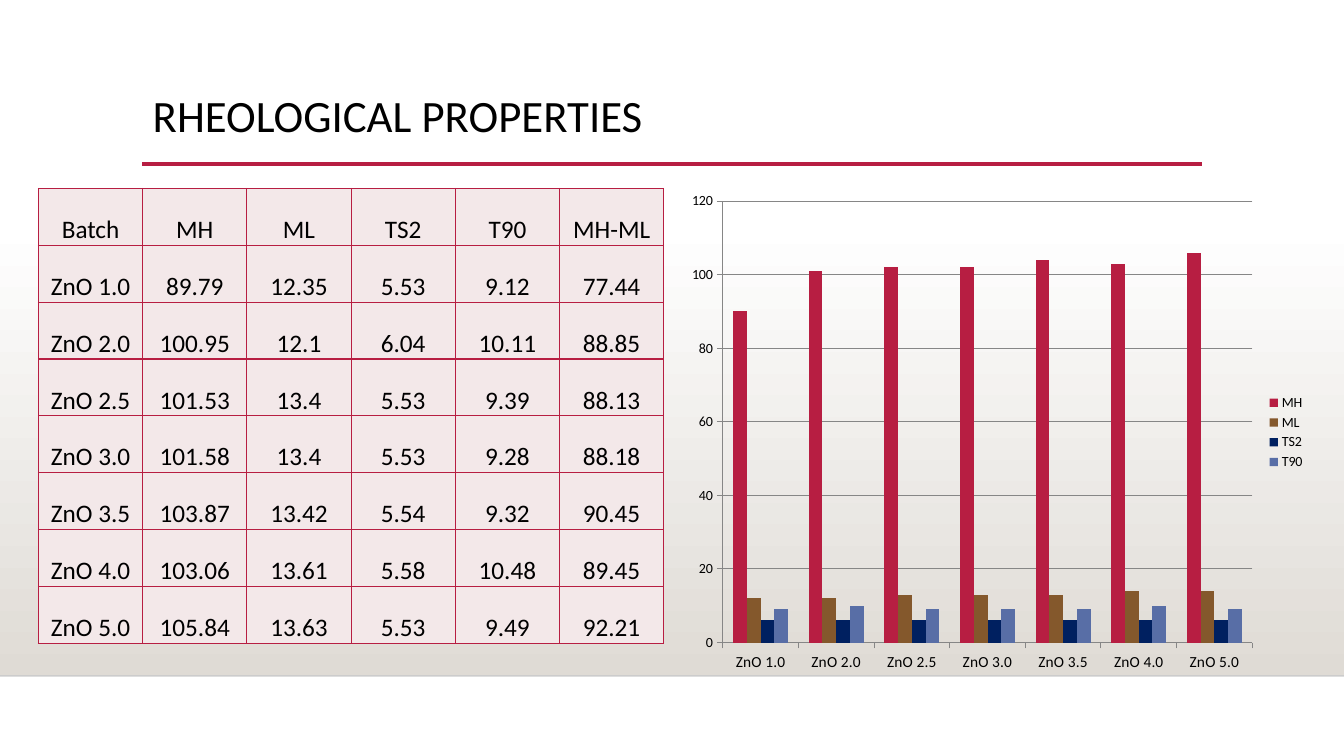
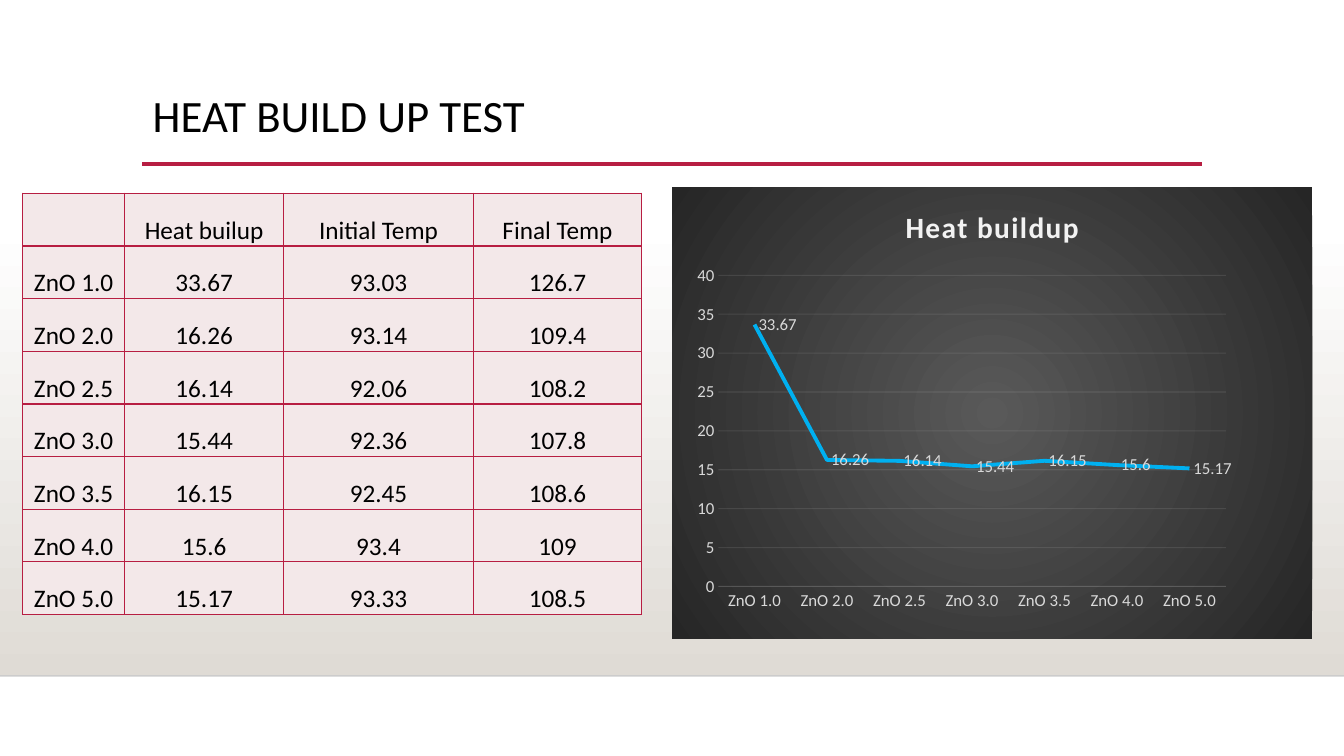
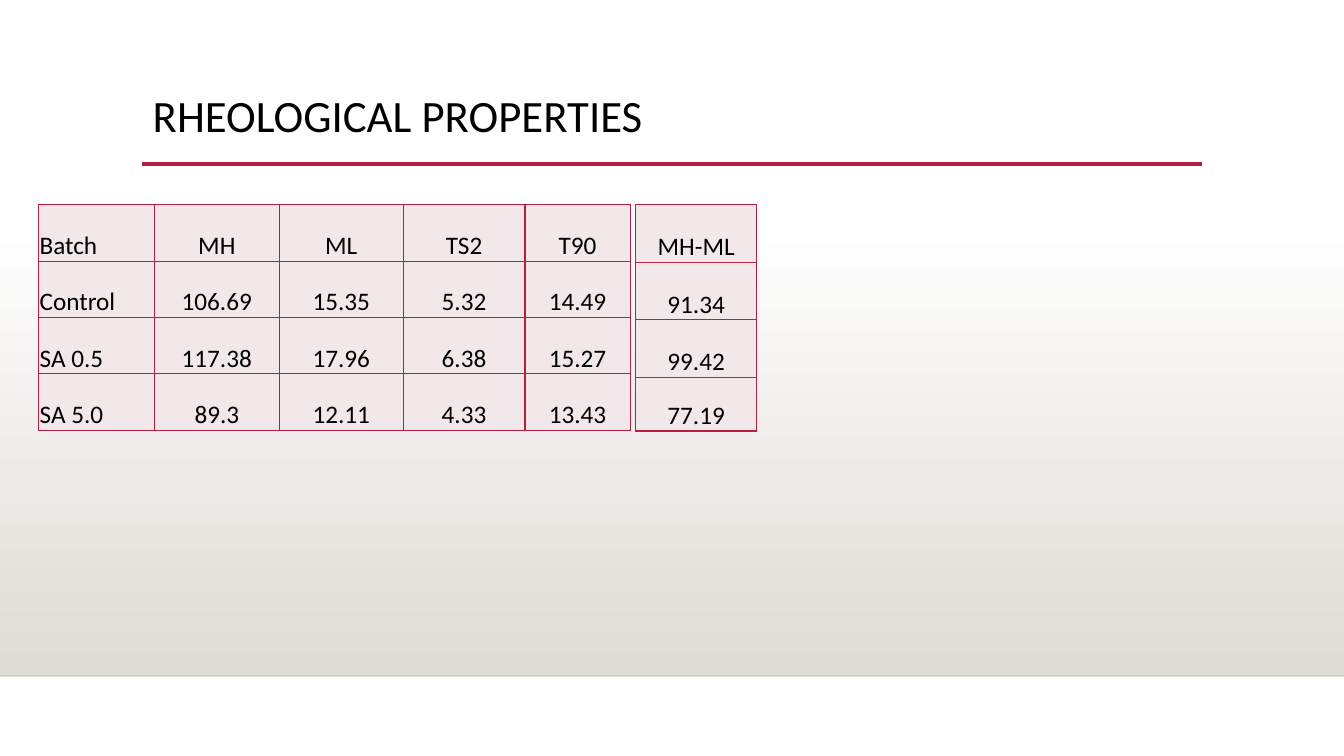
"""Three slides of rubber test results: tables, a column chart and a line chart."""
from dataclasses import dataclass

from lxml import etree
from pptx import Presentation
from pptx import util as u
from pptx.chart import data as cd
from pptx.dml.color import RGBColor
from pptx.enum import chart as ch, shapes, text
from pptx.oxml import parse_xml
from pptx.oxml.ns import nsdecls, qn


@dataclass(frozen=True)
class Theme:
    font: str = "Calibri"
    ink: str = "000000"
    edge: str = "000001"
    red: str = "B71E42"
    cell: str = "F3E8E9"
    white: str = "FFFFFF"
    sand: str = "DFDBD5"
    grid: str = "868686"
    pale: str = "F2F2F2"
    mist: str = "D9D9D9"
    blue: str = "00B0F0"
    core: str = "595959"
    rim: str = "262626"
    bars: tuple = ("B71E42", "84582C", "002060", "586EA6")
    title: int = 32
    head: int = 21
    body: int = 18
    label: int = 12
    axis: int = 11
    small: int = 10


T = Theme()

ZINC = [
    ("Batch", "MH", "ML", "TS2", "T90", "MH-ML"),
    ("ZnO 1.0", "89.79", "12.35", "5.53", "9.12", "77.44"),
    ("ZnO 2.0", "100.95", "12.1", "6.04", "10.11", "88.85"),
    ("ZnO 2.5", "101.53", "13.4", "5.53", "9.39", "88.13"),
    ("ZnO 3.0", "101.58", "13.4", "5.53", "9.28", "88.18"),
    ("ZnO 3.5", "103.87", "13.42", "5.54", "9.32", "90.45"),
    ("ZnO 4.0", "103.06", "13.61", "5.58", "10.48", "89.45"),
    ("ZnO 5.0", "105.84", "13.63", "5.53", "9.49", "92.21"),
]
HEAT = [
    ("", "Heat builup", "Initial Temp", "Final Temp"),
    ("ZnO 1.0", "33.67", "93.03", "126.7"),
    ("ZnO 2.0", "16.26", "93.14", "109.4"),
    ("ZnO 2.5", "16.14", "92.06", "108.2"),
    ("ZnO 3.0", "15.44", "92.36", "107.8"),
    ("ZnO 3.5", "16.15", "92.45", "108.6"),
    ("ZnO 4.0", "15.6", "93.4", "109"),
    ("ZnO 5.0", "15.17", "93.33", "108.5"),
]
ACID = [
    ("Batch", "MH", "ML", "TS2", "T90"),
    ("Control", "106.69", "15.35", "5.32", "14.49"),
    ("SA 0.5", "117.38", "17.96", "6.38", "15.27"),
    ("SA 5.0", "89.3", "12.11", "4.33", "13.43"),
]
SPAN = [("MH-ML",), ("91.34",), ("99.42",), ("77.19",)]


def rgb(hue):
    return RGBColor.from_string(hue)


def style(font, size, hue=T.ink, bold=False):
    font.name, font.size, font.bold = T.font, u.Pt(size), bold
    font.color.rgb = rgb(hue)


def stroke(line, hue, width):
    line.color.rgb = rgb(hue)
    line.width = u.Pt(width)


def fade(nodes, share):
    for node in nodes:
        etree.SubElement(node, qn("a:alpha")).set("val", str(share * 1000))


def add_run(para, words, size):
    run = para.add_run()
    run.text = words
    style(run.font, size)


def add_rule(slide, left, right, top, hue, width):
    rule = slide.shapes.add_connector(
        shapes.MSO_CONNECTOR.STRAIGHT, u.Cm(left), u.Cm(top), u.Cm(right), u.Cm(top))
    stroke(rule.line, hue, width)
    etree.SubElement(rule.element.spPr, qn("a:effectLst"))
    return rule


def add_slide(deck, title):
    slide = deck.slides.add_slide(deck.slide_layouts[6])
    band = slide.shapes.add_shape(
        shapes.MSO_SHAPE.RECTANGLE, 0, u.Cm(5.61), deck.slide_width, u.Cm(11.41))
    band.shadow.inherit = False
    band.line.fill.background()
    band.fill.gradient()
    band.fill.gradient_angle = 270
    for stop, hue in zip(band.fill.gradient_stops, (T.white, T.sand)):
        stop.color.rgb = rgb(hue)
    floor = add_rule(slide, 0, 33.87, 17.03, T.edge, 1)
    fade(floor.element.xpath(".//a:ln//a:srgbClr"), 20)
    add_rule(slide, 3.58, 30.28, 4.13, T.red, 2.5)
    frame = slide.shapes.add_textbox(
        u.Cm(3.6), u.Cm(2.24), u.Cm(26.67), u.Cm(2.92)).text_frame
    frame.word_wrap = True
    para = frame.paragraphs[0]
    para.line_spacing = 0.9
    add_run(para, title, T.title)
    return slide


def add_border(cell):
    props = cell._tc.get_or_add_tcPr()
    for spot, side in enumerate("LRTB"):
        props.insert(spot, parse_xml(
            f'<a:ln{side} {nsdecls("a")} w="12700"><a:solidFill>'
            f'<a:srgbClr val="{T.red}"/></a:solidFill></a:ln{side}>'))


def add_table(slide, left, top, rows, widths, heights, lead=text.PP_ALIGN.CENTER):
    table = slide.shapes.add_table(
        len(rows), len(widths), u.Cm(left), u.Cm(top),
        u.Cm(sum(widths)), u.Cm(sum(heights))).table
    table.first_row = table.horz_banding = False
    for col, width in zip(table.columns, widths):
        col.width = u.Cm(width)
    for row, height, items in zip(table.rows, heights, rows):
        row.height = u.Cm(height)
        for spot, (cell, words) in enumerate(zip(row.cells, items)):
            cell.fill.solid()
            cell.fill.fore_color.rgb = rgb(T.cell)
            add_border(cell)
            cell.vertical_anchor = text.MSO_ANCHOR.BOTTOM
            cell.margin_left = cell.margin_right = cell.margin_top = u.Cm(0.03)
            cell.margin_bottom = 0
            para = cell.text_frame.paragraphs[0]
            para.alignment = text.PP_ALIGN.CENTER if spot else lead
            if words:
                add_run(para, words, T.body)


def add_chart(slide, kind, box, rows, names, places, fill):
    data = cd.CategoryChartData()
    data.categories = [row[0] for row in rows[1:]]
    for spot, name in enumerate(names, 1):
        data.add_series(name, [round(float(row[spot]), places) for row in rows[1:]])
    chart = slide.shapes.add_chart(kind, *map(u.Cm, box), data).chart
    style(chart.font, T.small)
    chart.has_title = chart.has_legend = False
    chart.plots[0].vary_by_categories = False
    chart.element.find(qn("c:chart")).addnext(parse_xml(
        f'<c:spPr {nsdecls("c", "a")}>{fill}<a:ln><a:noFill/></a:ln></c:spPr>'))
    return chart


def set_axes(chart, top, step, tick, hue, sizes):
    value, group = chart.value_axis, chart.category_axis
    value.minimum_scale, value.maximum_scale, value.major_unit = 0, top, step
    value.has_major_gridlines = True
    stroke(value.major_gridlines.format.line, hue, 0.75)
    stroke(group.format.line, hue, 0.75)
    for axis, size in zip((value, group), sizes):
        axis.major_tick_mark = tick
        axis.minor_tick_mark = ch.XL_TICK_MARK.NONE
        axis.tick_labels.font.size = u.Pt(size)


def add_bars(slide):
    chart = add_chart(slide, ch.XL_CHART_TYPE.COLUMN_CLUSTERED,
                      (17.12, 4.62, 16.03, 12.55), ZINC, ZINC[0][1:5], 0, "<a:noFill/>")
    set_axes(chart, 120, 20, ch.XL_TICK_MARK.OUTSIDE, T.grid, (T.small, T.axis))
    stroke(chart.value_axis.format.line, T.grid, 0.75)
    chart.has_legend = True
    chart.legend.position = ch.XL_LEGEND_POSITION.RIGHT
    chart.legend.include_in_layout = False
    style(chart.legend.font, T.small)
    plot = chart.plots[0]
    plot.gap_width, plot.overlap = 150, 0
    for series, hue in zip(plot.series, T.bars):
        series.format.fill.solid()
        series.format.fill.fore_color.rgb = rgb(hue)


def add_curve(slide):
    stops = "".join(f'<a:gs pos="{pos}"><a:srgbClr val="{hue}"/></a:gs>'
                    for pos, hue in ((0, T.core), (100000, T.rim)))
    glow = (f'<a:gradFill><a:gsLst>{stops}</a:gsLst><a:path path="circle">'
            '<a:fillToRect l="50000" t="50000" r="50000" b="50000"/></a:path></a:gradFill>')
    chart = add_chart(slide, ch.XL_CHART_TYPE.LINE_STACKED,
                      (16.94, 4.72, 16.13, 11.38), HEAT, ["Series 1"], 2, glow)
    set_axes(chart, 40, 5, ch.XL_TICK_MARK.NONE, T.pale, (T.label, T.label))
    chart.value_axis.format.line.fill.background()
    for axis in (chart.value_axis, chart.category_axis):
        style(axis.tick_labels.font, T.label, T.mist)
    fade(chart.element.xpath(
        ".//c:majorGridlines//a:srgbClr | .//c:catAx/c:spPr//a:srgbClr"), 10)
    run = chart.chart_title.text_frame.paragraphs[0].add_run()
    run.text = "Heat buildup"
    style(run.font, T.head, T.pale, True)
    run.font._element.set("spc", "100")
    series = chart.plots[0].series[0]
    series.smooth = False
    series.marker.style = ch.XL_MARKER_STYLE.NONE
    stroke(series.format.line, T.blue, 2.75)
    tags = series.data_labels
    tags.show_value = True
    tags.position = ch.XL_LABEL_POSITION.RIGHT
    tags.number_format, tags.number_format_is_linked = "General", False
    style(tags.font, T.label, T.mist)
    area = chart.element.find(".//" + qn("c:plotArea"))
    for old in area.findall(qn("c:layout")):
        area.remove(old)
    parts = [("layoutTarget", "inner"), ("xMode", "edge"), ("yMode", "edge")]
    parts += [(tag, f"{share / 100:.3f}")
              for tag, share in zip("xywh", (7.2, 19.5, 79.3, 68.9))]
    inner = "".join(f'<c:{tag} val="{val}"/>' for tag, val in parts)
    area.insert(0, parse_xml(f'<c:layout {nsdecls("c")}><c:manualLayout>{inner}'
                             '</c:manualLayout></c:layout>'))


def main():
    deck = Presentation()
    deck.slide_width, deck.slide_height = u.Cm(33.87), u.Cm(19.05)

    slide = add_slide(deck, "RHEOLOGICAL PROPERTIES")
    add_table(slide, 0.97, 4.75, ZINC, [15.76 / 6] * 6, [11.46 / 8] * 8)
    add_bars(slide)

    slide = add_slide(deck, "HEAT BUILD UP TEST")
    add_table(slide, 0.57, 4.87, HEAT, [2.57, 4.01, 4.78, 4.24], [10.62 / 8] * 8)
    add_curve(slide)

    slide = add_slide(deck, "RHEOLOGICAL PROPERTIES")
    add_table(slide, 0.97, 5.16, ACID, [2.92, 3.15, 3.12, 3.07, 2.65], [1.42] * 4,
              text.PP_ALIGN.LEFT)
    add_table(slide, 16.02, 5.16, SPAN, [3.05], [1.45] * 3 + [1.35])

    deck.save("out.pptx")


if __name__ == "__main__":
    main()
